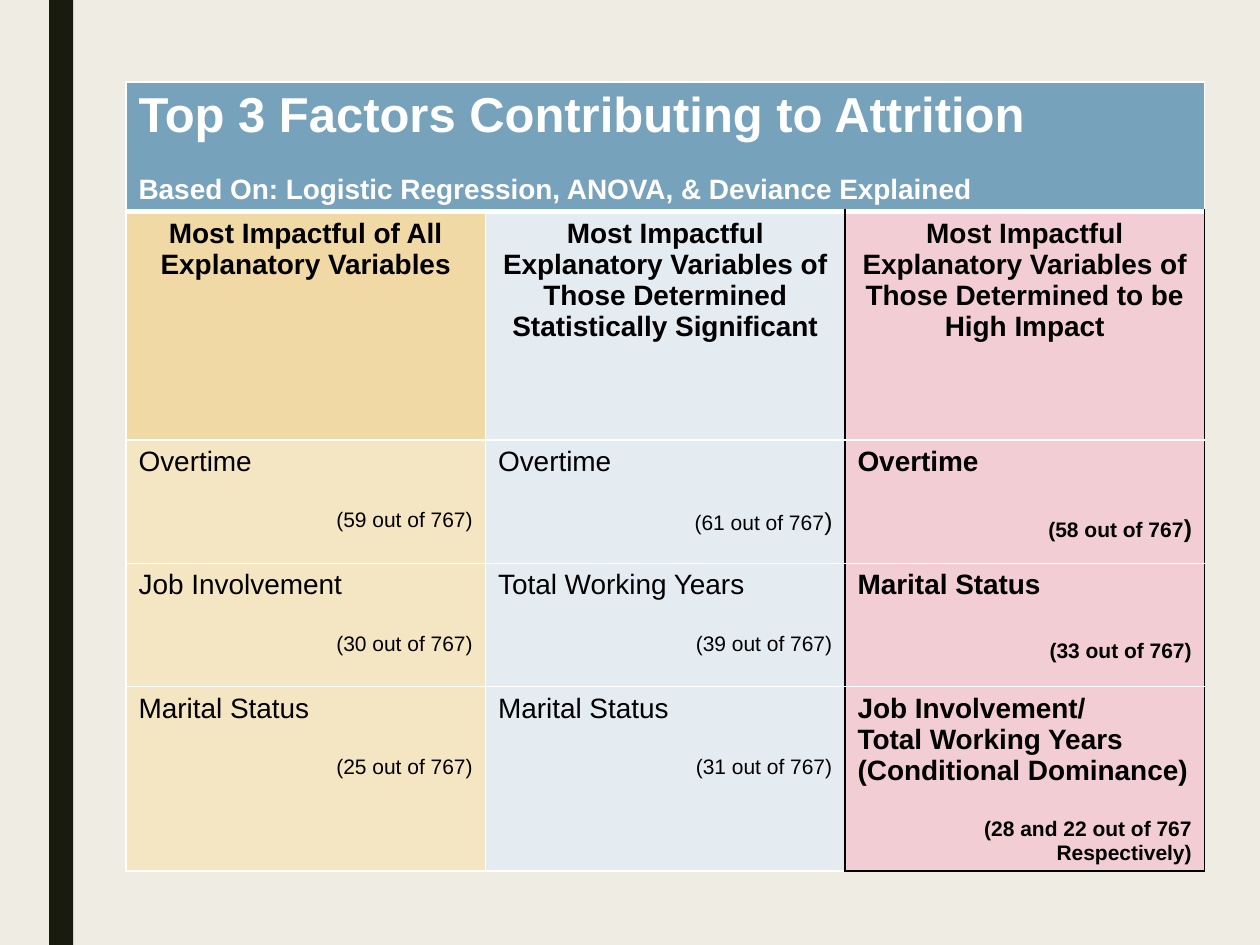
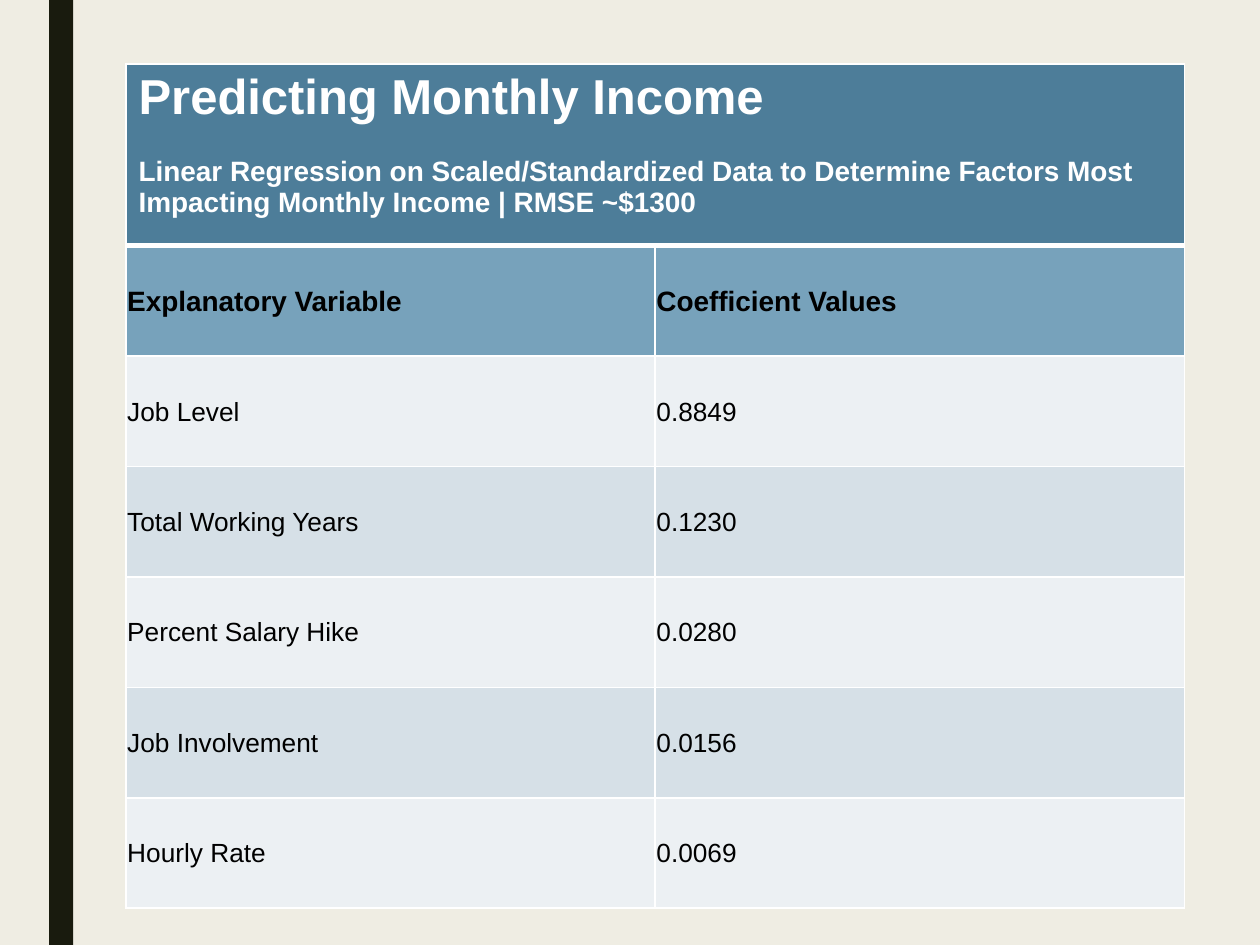
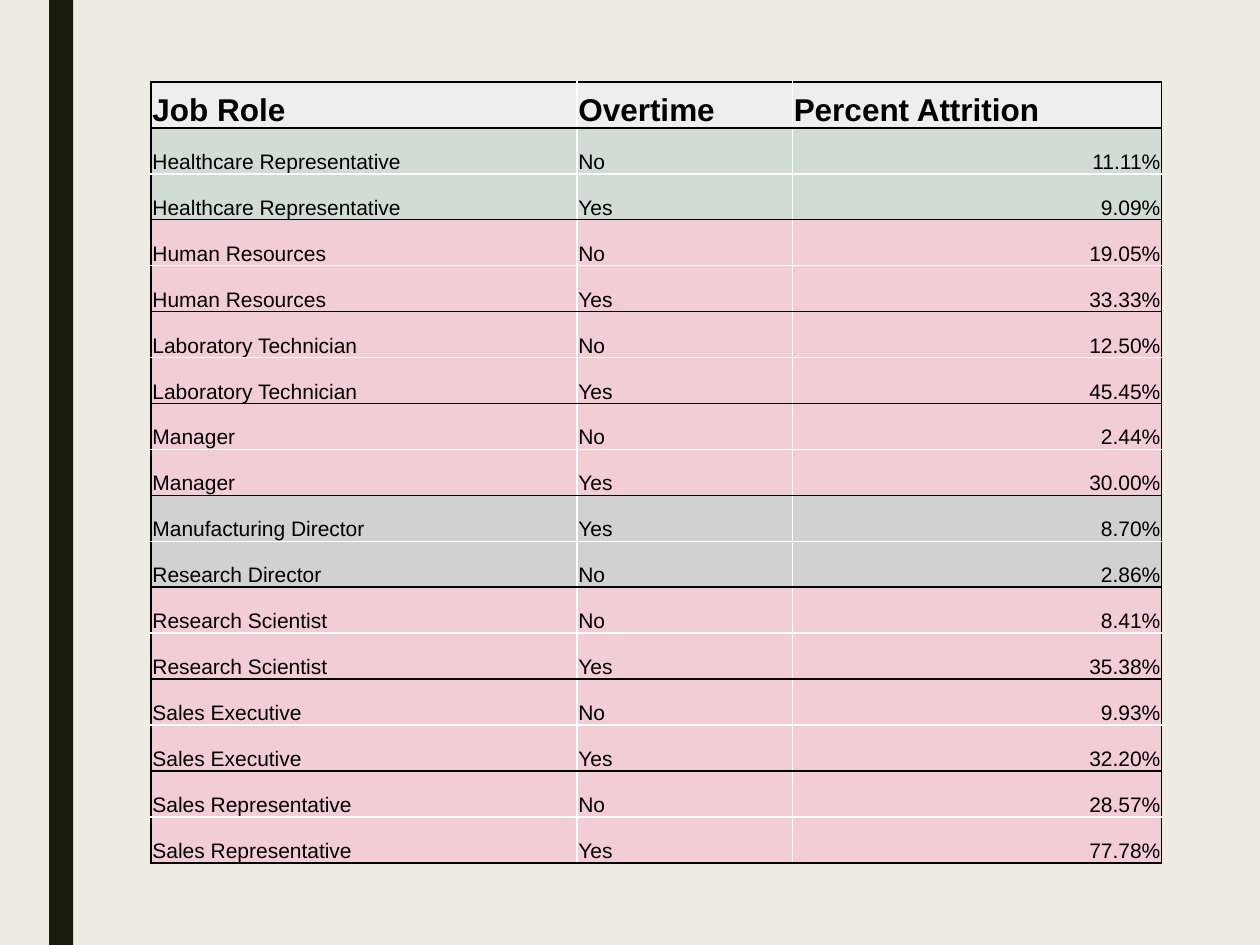
"""Build three table slides on employee attrition and monthly income."""
import pptx
import pptx.dml.color
import pptx.enum.shapes
import pptx.enum.text
import pptx.oxml
import pptx.oxml.ns
import pptx.util
from pptx.dml.color import RGBColor
from pptx.util import Inches

PAPER = RGBColor(0xEF, 0xED, 0xE3)
STRIPE = RGBColor(0x19, 0x1B, 0x0E)
WHITE = RGBColor(0xFF, 0xFF, 0xFF)
BLACK = RGBColor(0x00, 0x00, 0x00)
BLUE = RGBColor(0x77, 0xA2, 0xBB)
DEEP_BLUE = RGBColor(0x4D, 0x7D, 0x99)
PALE_BLUE = RGBColor(0xE4, 0xEC, 0xF1)
BAND_LIGHT = RGBColor(0xEC, 0xF0, 0xF3)
BAND_DARK = RGBColor(0xD6, 0xE0, 0xE7)
GOLD = RGBColor(0xF0, 0xD9, 0xA5)
PALE_GOLD = RGBColor(0xF5, 0xE6, 0xC3)
PINK = RGBColor(0xF3, 0xCD, 0xD4)
GREEN = RGBColor(0xD1, 0xDD, 0xD2)
GRAY = RGBColor(0xD1, 0xD1, 0xCF)
HEADING_GRAY = RGBColor(0xEE, 0xEE, 0xED)

FONT = "Arial"
LEFT = pptx.enum.text.PP_ALIGN.LEFT
CENTER = pptx.enum.text.PP_ALIGN.CENTER
RIGHT = pptx.enum.text.PP_ALIGN.RIGHT
TOP = pptx.enum.text.MSO_ANCHOR.TOP
MIDDLE = pptx.enum.text.MSO_ANCHOR.MIDDLE
BOTTOM = pptx.enum.text.MSO_ANCHOR.BOTTOM
NORMAL_MARGINS = (0.1, 0.05, 0.1, 0.05)
TIGHT_MARGINS = (0.01, 0.01, 0.01, 0)


def add_table_page(deck, left, top, widths, heights):
    """Add a page with the side stripe and return its empty table."""
    page = deck.slides.add_slide(deck.slide_layouts[6])
    stripe = page.shapes.add_shape(
        pptx.enum.shapes.MSO_SHAPE.RECTANGLE, Inches(0.39), 0, Inches(0.19), deck.slide_height)
    stripe.shadow.inherit = False
    stripe.fill.solid()
    stripe.fill.fore_color.rgb = STRIPE
    stripe.line.fill.background()
    table = page.shapes.add_table(
        len(heights), len(widths), Inches(left), Inches(top),
        Inches(sum(widths)), Inches(sum(heights))).table
    table.first_row = table.horz_banding = False
    for column, width in zip(table.columns, widths):
        column.width = Inches(width)
    for row, height in zip(table.rows, heights):
        row.height = Inches(height)
    return table


def fill_cell(cell, lines, fill, edges=(WHITE,) * 4, bottom_width=1,
              color=BLACK, anchor=TOP, margins=NORMAL_MARGINS):
    """Write lines of (text, size, bold, alignment, space before); edges run left, right, top, bottom."""
    properties = cell._tc.get_or_add_tcPr()
    for side, edge in zip("LRTB", edges):
        points = bottom_width if side == "B" else 1
        properties.append(pptx.oxml.parse_xml(
            f'<a:ln{side} {pptx.oxml.ns.nsdecls("a")} w="{pptx.util.Pt(points)}">'
            f'<a:solidFill><a:srgbClr val="{edge}"/></a:solidFill></a:ln{side}>'))
    cell.fill.solid()
    cell.fill.fore_color.rgb = fill
    cell.vertical_anchor = anchor
    cell.margin_left, cell.margin_top, cell.margin_right, cell.margin_bottom = map(Inches, margins)
    for index, (text, size, bold, alignment, space) in enumerate(lines):
        para = cell.text_frame.add_paragraph() if index else cell.text_frame.paragraphs[0]
        para.text = text
        para.alignment = alignment
        para.space_before = pptx.util.Pt(space)
        para.font.name = FONT
        para.font.size = pptx.util.Pt(size)
        para.font.bold = bold
        para.font.color.rgb = color


deck = pptx.Presentation()
deck.slide_width = Inches(10)
deck.slide_height = Inches(7.5)
deck.slide_master.background.fill.solid()
deck.slide_master.background.fill.fore_color.rgb = PAPER

factors = add_table_page(deck, 1, 0.65, [8.56 / 3] * 3, [0.99, 1.81, 0.98, 0.98, 1.46])
income = add_table_page(deck, 1, 0.51, [4.2] * 2, [1.44] + [(6.7 - 1.44) / 6] * 6)
attrition = add_table_page(deck, 1.2, 0.65, [3.38, 1.71, 2.93], [6.2 / 17] * 17)

titles = [
    (factors, BLUE, "Top 3 Factors Contributing to Attrition",
     "Based On: Logistic Regression, ANOVA, & Deviance Explained"),
    (income, DEEP_BLUE, "Predicting Monthly Income",
     "Linear Regression on Scaled/Standardized Data to Determine Factors Most "
     "Impacting Monthly Income | RMSE ~$1300"),
]
for table, fill, title, subtitle in titles:
    last = len(table.columns) - 1
    table.cell(0, 0).merge(table.cell(0, last))
    fill_cell(table.cell(0, 0), [(title, 28, True, LEFT, 0), (subtitle, 16, True, LEFT, 18)],
              fill, bottom_width=3, color=WHITE)
    for column in range(1, last + 1):
        fill_cell(table.cell(0, column), [], fill, bottom_width=3)

factor_columns = [
    (GOLD, PALE_GOLD, WHITE, WHITE, "Most Impactful of All Explanatory Variables",
     [("Overtime", "(59 out of 767)", 18), ("Job Involvement", "(30 out of 767)", 18),
      ("Marital Status", "(25 out of 767)", 18)]),
    (PALE_BLUE, PALE_BLUE, WHITE, BLACK,
     "Most Impactful Explanatory Variables of Those Determined Statistically Significant",
     [("Overtime", "(61 out of 767)", 18), ("Total Working Years", "(39 out of 767)", 18),
      ("Marital Status", "(31 out of 767)", 18)]),
    (PINK, PINK, BLACK, BLACK,
     "Most Impactful Explanatory Variables of Those Determined to be High Impact",
     [("Overtime", "(58 out of 767)", 22), ("Marital Status", "(33 out of 767)", 22),
      ("Job Involvement/\vTotal Working Years\v(Conditional Dominance)",
       "(28 and 22 out of 767 Respectively)", 18)]),
]
for column, (heading_fill, fill, left, right, heading, ranking) in enumerate(factor_columns):
    high_impact = column == 2
    fill_cell(factors.cell(1, column), [(heading, 16, True, CENTER, 0)], heading_fill,
              (left, right, left, WHITE))
    for row, (factor, count, gap) in enumerate(ranking, 2):
        bottom = BLACK if high_impact and row == 4 else WHITE
        fill_cell(factors.cell(row, column),
                  [(factor, 16, high_impact, LEFT, 0), (count, 12, high_impact, RIGHT, gap)],
                  fill, (left, right, WHITE, bottom))
for column in (1, 2):
    para = factors.cell(2, column).text_frame.paragraphs[1]
    para.runs[0].text = para.text.rstrip(")")
    span = para.add_run()
    span.text = ")"
    span.font.size = pptx.util.Pt(14)

coefficients = [
    ("Explanatory Variable", "Coefficient Values"),
    ("Job Level", "0.8849"),
    ("Total Working Years", "0.1230"),
    ("Percent Salary Hike", "0.0280"),
    ("Job Involvement", "0.0156"),
    ("Hourly Rate", "0.0069"),
]
for row, values in enumerate(coefficients, 1):
    heading = row == 1
    fill = BLUE if heading else (BAND_DARK if row % 2 else BAND_LIGHT)
    for column, value in enumerate(values):
        fill_cell(income.cell(row, column), [(value, 16 if heading else 15, heading, LEFT, 0)],
                  fill, anchor=MIDDLE, margins=TIGHT_MARGINS)

role_rows = [
    ("Job Role", "Overtime", "Percent Attrition", HEADING_GRAY),
    ("Healthcare Representative", "No", "11.11%", GREEN),
    ("Healthcare Representative", "Yes", "9.09%", GREEN),
    ("Human Resources", "No", "19.05%", PINK),
    ("Human Resources", "Yes", "33.33%", PINK),
    ("Laboratory Technician", "No", "12.50%", PINK),
    ("Laboratory Technician", "Yes", "45.45%", PINK),
    ("Manager", "No", "2.44%", PINK),
    ("Manager", "Yes", "30.00%", PINK),
    ("Manufacturing Director", "Yes", "8.70%", GRAY),
    ("Research Director", "No", "2.86%", GRAY),
    ("Research Scientist", "No", "8.41%", PINK),
    ("Research Scientist", "Yes", "35.38%", PINK),
    ("Sales Executive", "No", "9.93%", PINK),
    ("Sales Executive", "Yes", "32.20%", PINK),
    ("Sales Representative", "No", "28.57%", PINK),
    ("Sales Representative", "Yes", "77.78%", PINK),
]
for row, (*values, fill) in enumerate(role_rows):
    heading = row == 0
    top = BLACK if heading or row % 2 else WHITE
    bottom = WHITE if row % 2 else BLACK
    for column, value in enumerate(values):
        left = BLACK if column == 0 else WHITE
        right = BLACK if column == 2 else WHITE
        alignment = RIGHT if column == 2 and not heading else LEFT
        fill_cell(attrition.cell(row, column),
                  [(value, 18 if heading else 12, heading, alignment, 0)],
                  fill, (left, right, top, bottom), anchor=BOTTOM, margins=TIGHT_MARGINS)

deck.save("out.pptx")
